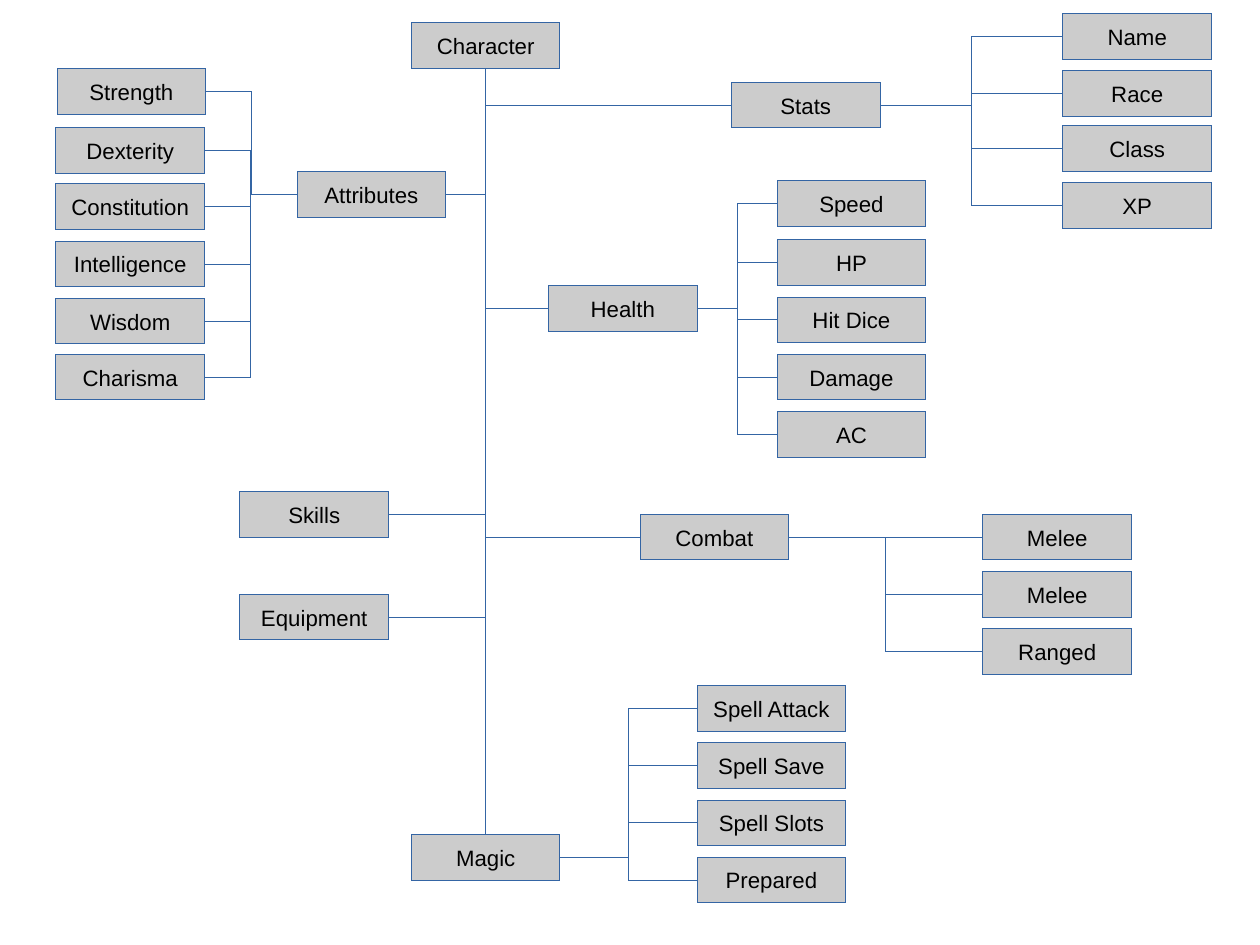
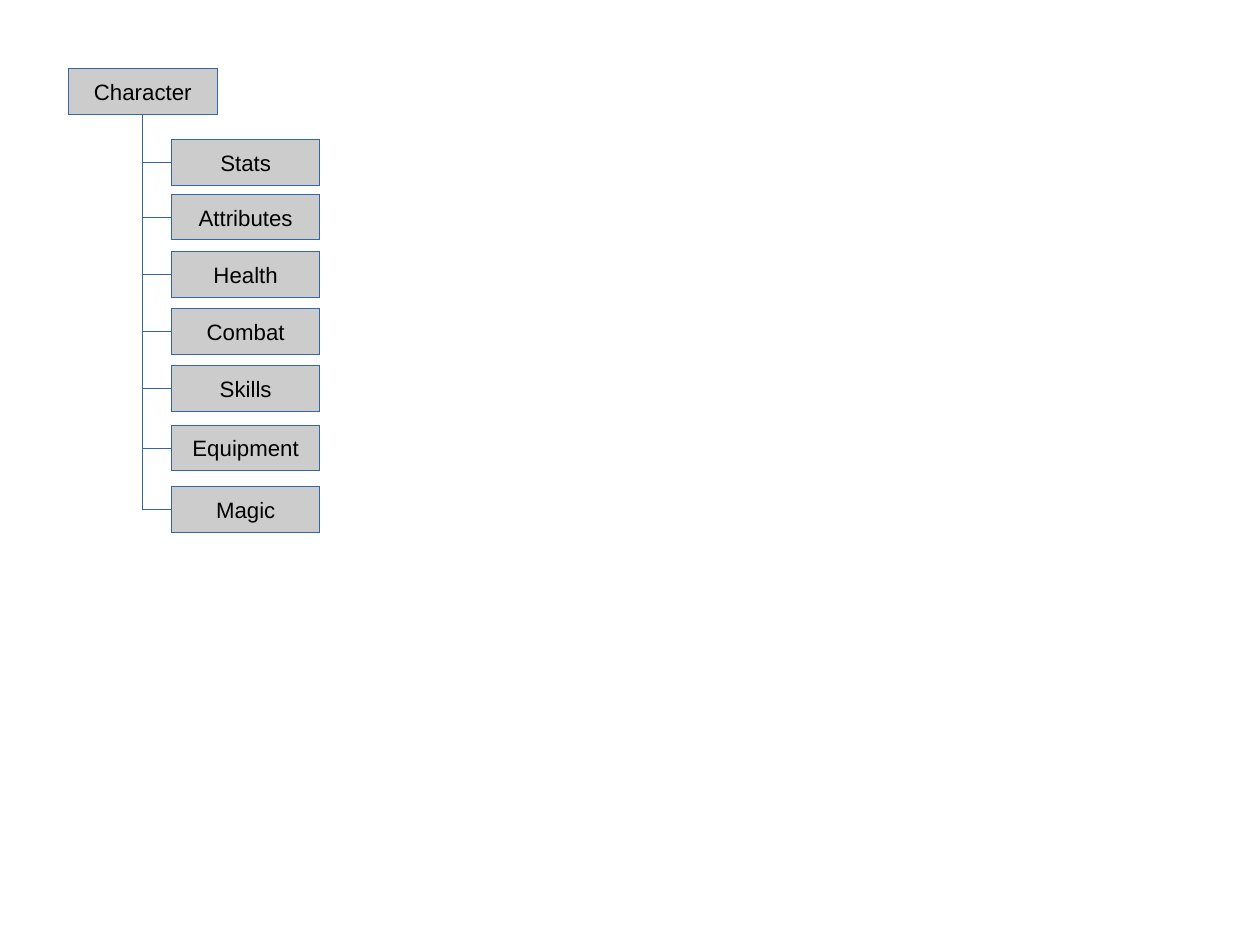
from dataclasses import dataclass

from lxml.etree import SubElement
from pptx import Presentation
from pptx.dml.color import RGBColor
from pptx.enum.shapes import MSO_CONNECTOR, MSO_SHAPE
from pptx.enum.text import MSO_ANCHOR, PP_ALIGN
from pptx.oxml.ns import qn
from pptx.util import Inches, Pt


@dataclass(frozen=True)
class Theme:
    fill: RGBColor = RGBColor(0xCC, 0xCC, 0xCC)
    line: RGBColor = RGBColor(0x34, 0x65, 0xA4)
    text: RGBColor = RGBColor(0, 0, 0)
    font: str = "Arial"
    size: int = 14
    hairline: int = 0
    box_width: float = 1.3
    box_height: float = 0.4


@dataclass(frozen=True)
class Branch:
    label: str
    left: float
    top: float
    columns: tuple = ()


THEME = Theme()
TOP, LEFT, BOTTOM, RIGHT = range(4)
BLANK_LAYOUT = 6
CM_PER_INCH = 2.54

BRANCHES = (
    Branch("Attributes", 2.6, 1.5, (
        (0.5, {"Strength": 0.6}),
        (0.49, {"Dexterity": 1.12, "Constitution": 1.61, "Intelligence": 2.11,
                "Wisdom": 2.61, "Charisma": 3.1}),
    )),
    Branch("Stats", 6.4, 0.72, (
        (9.3, {"Name": 0.12, "Race": 0.62, "Class": 1.1, "XP": 1.6}),
    )),
    Branch("Health", 4.8, 2.5, (
        (6.8, {"Speed": 1.58, "HP": 2.1, "Hit Dice": 2.6, "Damage": 3.1, "AC": 3.6}),
    )),
    Branch("Skills", 2.1, 4.3),
    Branch("Equipment", 2.1, 5.2),
    Branch("Combat", 5.6, 4.5, (
        (8.6, {"Melee": 4.5}),
        (8.6, {"Melee": 5, "Ranged": 5.5}),
    )),
    Branch("Magic", 3.6, 7.3, (
        (6.1, {"Spell Attack": 6, "Spell Save": 6.5, "Spell Slots": 7, "Prepared": 7.5}),
    )),
)

OUTLINE = {"Stats": 1.22, "Attributes": 1.7, "Health": 2.2, "Combat": 2.7,
           "Skills": 3.2, "Equipment": 3.72, "Magic": 4.26}


def write_text(shape, text, *, size=THEME.size, color=THEME.text, font=THEME.font,
               align=PP_ALIGN.CENTER, anchor=MSO_ANCHOR.MIDDLE):
    frame = shape.text_frame
    frame.word_wrap = False
    frame.vertical_anchor = anchor
    paragraph = frame.paragraphs[0]
    paragraph.alignment = align
    run = paragraph.add_run()
    run.text = text
    run.font.name = font
    run.font.size = Pt(size)
    run.font.color.rgb = color


def style_line(shape):
    element = shape._element
    element.remove(element.find(qn("p:style")))
    shape.line.color.rgb = THEME.line
    element.spPr.find(qn("a:ln")).set("w", str(Pt(THEME.hairline)))


def add_box(slide, label, left, top):
    shape = slide.shapes.add_shape(
        MSO_SHAPE.RECTANGLE, Inches(left), Inches(top),
        Inches(THEME.box_width), Inches(THEME.box_height))
    shape.shadow.inherit = False
    shape.fill.solid()
    shape.fill.fore_color.rgb = THEME.fill
    style_line(shape)
    write_text(shape, label)
    return shape


def connect(slide, start, start_site, end, end_site, kind=MSO_CONNECTOR.ELBOW):
    connector = slide.shapes.add_connector(kind, 0, 0, 0, 0)
    connector.begin_connect(start, start_site)
    connector.end_connect(end, end_site)
    style_line(connector)
    SubElement(connector._element.spPr, qn("a:effectLst"))
    return connector


def connect_to_trunk(slide, root, box):
    trunk = root.left + root.width // 2
    if box.left + box.width // 2 == trunk:
        connect(slide, root, BOTTOM, box, TOP, MSO_CONNECTOR.STRAIGHT)
        return
    side = LEFT if box.left > trunk else RIGHT
    connector = connect(slide, box, side, root, BOTTOM)
    connector._element.spPr.find(qn("a:prstGeom")).set("prst", "bentConnector2")


def connect_leaf(slide, parent, leaf):
    kind = MSO_CONNECTOR.STRAIGHT if leaf.top == parent.top else MSO_CONNECTOR.ELBOW
    sites = (RIGHT, LEFT) if leaf.left > parent.left else (LEFT, RIGHT)
    connect(slide, parent, sites[0], leaf, sites[1], kind)


def add_branch(slide, root, branch):
    box = add_box(slide, branch.label, branch.left, branch.top)
    connect_to_trunk(slide, root, box)
    for left, leaves in branch.columns:
        for label, top in leaves.items():
            connect_leaf(slide, box, add_box(slide, label, left, top))


def add_slide(presentation):
    return presentation.slides.add_slide(presentation.slide_layouts[BLANK_LAYOUT])


def build_character_tree(presentation):
    slide = add_slide(presentation)
    root = add_box(slide, "Character", 3.6, 0.2)
    for branch in BRANCHES:
        add_branch(slide, root, branch)


def build_outline(presentation):
    slide = add_slide(presentation)
    root = add_box(slide, "Character", 0.6, 0.6)
    for label, top in OUTLINE.items():
        add_branch(slide, root, Branch(label, 1.5, top))


def main():
    presentation = Presentation()
    presentation.slide_width = Inches(28 / CM_PER_INCH)
    presentation.slide_height = Inches(21 / CM_PER_INCH)
    build_character_tree(presentation)
    build_outline(presentation)
    presentation.save("out.pptx")


if __name__ == "__main__":
    main()
